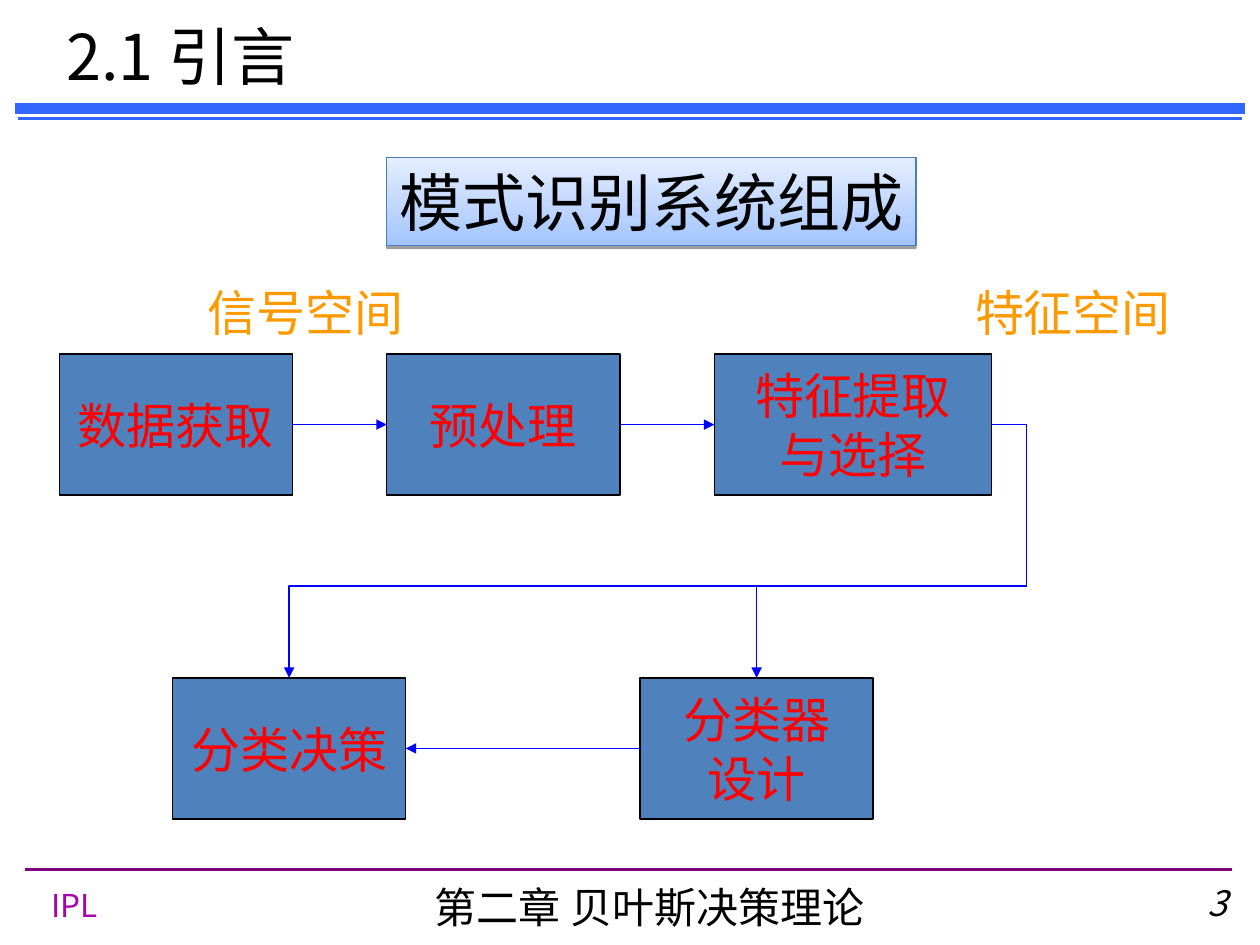
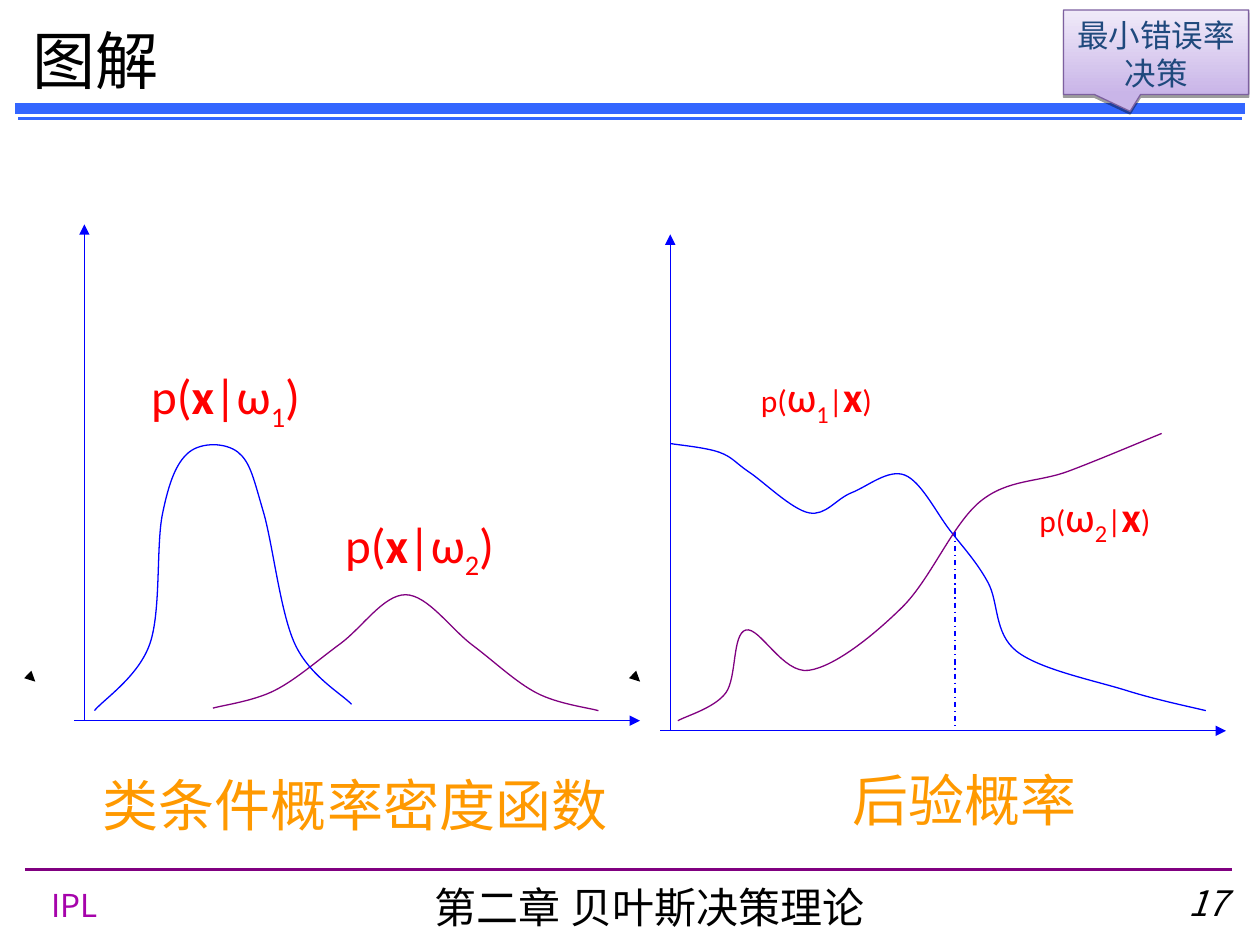
import pptx
import pptx.util
import pptx.dml.color
import pptx.enum.dml
import pptx.enum.shapes
import pptx.enum.text
import pptx.oxml.ns
from lxml import etree

Inches, Pt = pptx.util.Inches, pptx.util.Pt
RGBColor = pptx.dml.color.RGBColor
SHAPE = pptx.enum.shapes.MSO_SHAPE
CONNECTOR = pptx.enum.shapes.MSO_CONNECTOR
ALIGN = pptx.enum.text.PP_ALIGN
ANCHOR = pptx.enum.text.MSO_ANCHOR
qn = pptx.oxml.ns.qn

BLACK = RGBColor(0x00, 0x00, 0x00)
RED = RGBColor(0xFF, 0x00, 0x00)
BLUE = RGBColor(0x00, 0x00, 0xFF)
PURPLE = RGBColor(0x80, 0x00, 0x80)
ORANGE = RGBColor(0xFF, 0x99, 0x00)
NAVY = RGBColor(0x1F, 0x49, 0x7D)
BAND = RGBColor(0x33, 0x66, 0xFF)
LAB = RGBColor(0xA6, 0x03, 0xAB)
STEP_FILL = RGBColor(0x4F, 0x81, 0xBD)
SKY = (RGBColor(0xA3, 0xC4, 0xFF), RGBColor(0xE5, 0xEE, 0xFF), RGBColor(0x4A, 0x7E, 0xBB))
LILAC = (RGBColor(0xC9, 0xB5, 0xE8), RGBColor(0xF0, 0xEA, 0xF9), RGBColor(0x7D, 0x60, 0xA0))

LATIN, CJK = "Calibri", "Noto Sans CJK SC"
CHAPTER = "第二章 贝叶斯决策理论"
RIGHT, LEFT, TOP = 3, 1, 0  # connection sites of a rectangle


# ---- Text and line helpers ----
def style_run(r, size, colour, font=LATIN, italic=False, bold=False):
    r.font.size, r.font.name = Pt(size), font
    r.font.italic, r.font.bold = italic, bold
    r.font.color.rgb = colour
    etree.SubElement(r._r.get_or_add_rPr(), qn("a:ea")).set("typeface", CJK)


def set_text(sp, text, size, colour, font=LATIN, align=ALIGN.LEFT,
             anchor=ANCHOR.TOP, wrap=False, italic=False):
    tf = sp.text_frame
    tf.text = text
    tf.word_wrap, tf.vertical_anchor = wrap, anchor
    p = tf.paragraphs[0]
    p.alignment = align
    for r in p.runs:
        style_run(r, size, colour, font, italic)


def add_text(s, box, text, size, colour, **options):
    sp = s.shapes.add_textbox(*map(Inches, box))
    set_text(sp, text, size, colour, **options)
    return sp


def style_line(sp, colour, width=0.75, arrow=False):
    sp.line.color.rgb, sp.line.width = colour, Pt(width)
    if arrow:
        etree.SubElement(sp.line._get_or_add_ln(), qn("a:tailEnd")).set("type", "triangle")


def add_line(s, start, end, colour, width=0.75, arrow=False, kind=CONNECTOR.STRAIGHT):
    line = s.shapes.add_connector(kind, *map(Inches, (*start, *end)))
    style_line(line, colour, width, arrow)
    etree.SubElement(line._element.spPr, qn("a:effectLst"))
    return line


def add_gradient_shape(s, preset, box, palette):
    bottom, top, edge = palette
    sp = s.shapes.add_shape(preset, *map(Inches, box))
    sp.fill.gradient()
    sp.fill.gradient_angle = 90
    for stop, colour in zip(sp.fill.gradient_stops, (bottom, top)):
        stop.color.rgb = colour
    style_line(sp, edge)
    sp.shadow.inherit = False
    effects = sp._element.spPr.find(qn("a:effectLst"))
    shadow = etree.SubElement(effects, qn("a:outerShdw"), blurRad="0",
                              dist=str(Pt(1.6)), dir="5400000", rotWithShape="0")
    shade = etree.SubElement(shadow, qn("a:srgbClr"), val="000000")
    etree.SubElement(shade, qn("a:alpha"), val="38000")
    return sp


# ---- Shared frame: title, blue bands, footer ----
def add_frame(prs, title, title_box, number, title_font):
    s = prs.slides.add_slide(prs.slide_layouts[6])
    add_text(s, (0.31, 6.98, 1.2, 0.39), "IPL", 18, LAB, font=CJK, wrap=True)
    add_line(s, (0.2, 6.9), (9.78, 6.9), PURPLE, 1.5)
    for y, width in ((0.94, 2), (0.86, 6)):
        band = add_line(s, (0.16, y), (9.84, y), BAND, width)
        band.line._get_or_add_ln().set("cap", "sq")
    add_text(s, (3.28, 6.95, 3.75, 0.5), CHAPTER, 24, BLACK, font=CJK,
             align=ALIGN.CENTER, wrap=True)
    add_text(s, (8.98, 6.95, 0.86, 0.51), str(number), 20, BLACK, font=CJK,
             align=ALIGN.RIGHT, wrap=True, italic=True)
    add_text(s, title_box, title, 36, BLACK, font=title_font,
             anchor=ANCHOR.MIDDLE, wrap=True)
    return s


# ---- Flow chart of the recognition system ----
def add_step(s, x, y, text, width=1.85):
    sp = s.shapes.add_shape(SHAPE.RECTANGLE, *map(Inches, (x, y, width, 1.12)))
    sp.fill.solid()
    sp.fill.fore_color.rgb = STEP_FILL
    style_line(sp, BLACK)
    sp.shadow.inherit = False
    set_text(sp, text, 28, RED, align=ALIGN.CENTER, anchor=ANCHOR.MIDDLE)
    return sp


def join(s, source, source_site, target, target_site, kind=CONNECTOR.STRAIGHT):
    line = add_line(s, (0, 0), (1, 1), BLUE, arrow=True, kind=kind)
    line.begin_connect(source, source_site)
    line.end_connect(target, target_site)
    return line


def join_around(s, source, target):
    """Leave to the right, turn back between the rows and enter from above."""
    line = join(s, source, RIGHT, target, TOP, CONNECTOR.ELBOW)
    geometry = line._element.spPr.find(qn("a:prstGeom"))
    geometry.set("prst", "bentConnector4")
    guides = geometry.find(qn("a:avLst"))
    if guides is None:
        guides = etree.SubElement(geometry, qn("a:avLst"))
    bends = (-Inches(0.28) / line.width, Inches(1.28) / line.height)
    for i, bend in enumerate(bends, 1):
        etree.SubElement(guides, qn("a:gd"), name=f"adj{i}",
                         fmla=f"val {round(bend * 100000)}")


def add_flow(s, left, top):
    upper, lower = top + 0.62, top + 3.19
    acquire, prepare, extract = (
        add_step(s, left + 2.6 * i, upper, text, width)
        for i, (text, width) in enumerate(
            (("数据获取", 1.85), ("预处理", 1.85), ("特征提取\v与选择", 2.2))))
    decide = add_step(s, left + 0.9, lower, "分类决策")
    design = add_step(s, left + 4.61, lower, "分类器\v设计")
    join(s, acquire, RIGHT, prepare, LEFT)
    join(s, prepare, RIGHT, extract, LEFT)
    join(s, design, LEFT, decide, RIGHT)
    for target in (design, decide):
        join_around(s, extract, target)
    for x, space in ((1.08, "信号空间"), (7.17, "特征空间")):
        add_text(s, (left + x, top, 1.85, 0.57), space, 28, ORANGE)


def build_intro(prs):
    s = add_frame(prs, "2.1 引言", (0.43, 0.08, 2.99, 0.72), 3, CJK)
    add_flow(s, 0.47, 2.19)
    heading = add_gradient_shape(s, SHAPE.RECTANGLE, (3.07, 1.25, 4.2, 0.7), SKY)
    set_text(heading, "模式识别系统组成", 36, BLACK)


# ---- Probability plots: points are inches right of and above the origin ----
def add_curve(s, origin, knots, colour):
    points = [(Inches(origin[0] + x), Inches(origin[1] - y)) for x, y in knots]
    padded = [points[0], *points, points[-1]]
    vertices = []
    for before, a, b, after in zip(padded, padded[1:], padded[2:], padded[3:]):
        vertices += [tuple(p + (n - m) / 6 for p, m, n in zip(a, before, b)),
                     tuple(p - (n - m) / 6 for p, m, n in zip(b, a, after)), b]
    builder = s.shapes.build_freeform(*points[0], scale=1.0)
    builder.add_line_segments(vertices, close=False)
    sp = builder.convert_to_shape()
    sp.fill.background()
    style_line(sp, colour)
    sp.shadow.inherit = False
    # Turn every three straight segments into one cubic segment
    outline = sp._element.find(".//" + qn("a:path"))
    segments = outline.findall(qn("a:lnTo"))
    for i in range(0, len(segments), 3):
        cubic = etree.SubElement(outline, qn("a:cubicBezTo"))
        for segment in segments[i:i + 3]:
            cubic.append(segment[0])
            outline.remove(segment)


def add_formula(s, origin, offset, pieces):
    """Each piece is text, size, bold, subscript."""
    box = (origin[0] + offset[0], origin[1] - offset[1], 1.92, 1)
    sp = add_text(s, box, "", 18, RED, align=ALIGN.CENTER, anchor=ANCHOR.MIDDLE)
    p = sp.text_frame.paragraphs[0]
    for text, size, bold, subscript in pieces:
        r = p.add_run()
        r.text = text
        style_run(r, size, RED, bold=bold)
        if subscript:
            r._r.get_or_add_rPr().set("baseline", "-25000")


def density(n):
    return (("p(", 28, False, False), ("x", 28, True, False), ("|ω", 28, False, False),
            (n, 28, False, True), (")", 28, False, False))


def posterior(n):
    return (("p(", 18, False, False), ("ω", 24, False, False), (n, 24, False, True),
            ("|", 18, False, False), ("x", 24, True, False), (")", 18, False, False))


def add_plot(s, origin, curves, formulas, caption, caption_box):
    x, y = origin
    add_line(s, (x, y), (x, y - 3.94), BLUE, arrow=True)
    add_line(s, (x - 0.08, y), (x + 4.41, y), BLUE, arrow=True)
    for colour, knots in curves:
        add_curve(s, origin, knots, colour)
    for offset, pieces in formulas:
        add_formula(s, origin, offset, pieces)
    dx, dy, width, height = caption_box
    add_text(s, (x + dx, y + dy, width, height), caption, 32, ORANGE,
             align=ALIGN.CENTER, anchor=ANCHOR.MIDDLE)


DENSITY_CURVES = (
    (PURPLE, ((1.02, 0.1), (1.51, 0.24), (2.03, 0.61), (2.55, 1), (3.08, 0.6),
              (3.59, 0.22), (4.08, 0.08))),
    (BLUE, ((0.08, 0.08), (0.52, 0.61), (0.62, 1.64), (0.83, 2.13), (1.22, 2.13),
            (1.42, 1.66), (1.67, 0.61), (2.12, 0.13))),
)
POSTERIOR_CURVES = (
    (BLUE, ((0, 2.28), (0.39, 2.21), (0.63, 2.05), (1.1, 1.73), (1.44, 1.89),
            (1.86, 2.03), (2.22, 1.59), (2.52, 1.18), (2.75, 0.63), (3.62, 0.32),
            (4.25, 0.16))),
    (PURPLE, ((0.06, 0.08), (0.44, 0.3), (0.6, 0.8), (1.1, 0.48), (1.84, 0.98),
              (2.46, 1.82), (3.16, 2.06), (3.9, 2.36))),
)


def build_plots(prs):
    s = add_frame(prs, "图解", (0.16, 0.16, 2.42, 0.62), 17, LATIN)
    add_plot(s, (0.67, 5.72), DENSITY_CURVES,
             (((0.16, 3.05), density("1")), ((1.7, 1.87), density("2"))),
             "类条件概率密度函数", (-0.16, 0.16, 4.62, 1))
    add_plot(s, (5.32, 5.8), POSTERIOR_CURVES,
             (((0.2, 3.13), posterior("1")), ((2.41, 2.18), posterior("2"))),
             "后验概率", (1.02, 0.08, 2.63, 0.92))
    # Lone arrowheads beside the plots
    for x in (0.27, 5.07):
        add_line(s, (x, 5.4), (x + 0.01, 5.41), BLACK, arrow=True)
    # Decision boundary
    boundary = add_line(s, (7.58, 4.22), (7.58, 5.8), BLUE)
    boundary.line.dash_style = pptx.enum.dml.MSO_LINE.DASH_DOT
    # Callout
    callout = add_gradient_shape(s, SHAPE.RECTANGULAR_CALLOUT, (8.44, 0.08, 1.47, 0.67), LILAC)
    callout.adjustments[0], callout.adjustments[1] = -0.14, 0.7
    set_text(callout, "最小错误率决策", 18, NAVY, align=ALIGN.CENTER, wrap=True)


def main():
    prs = pptx.Presentation()
    prs.slide_width, prs.slide_height = Inches(10), Inches(7.5)
    build_intro(prs)
    build_plots(prs)
    prs.save("out.pptx")


if __name__ == "__main__":
    main()
